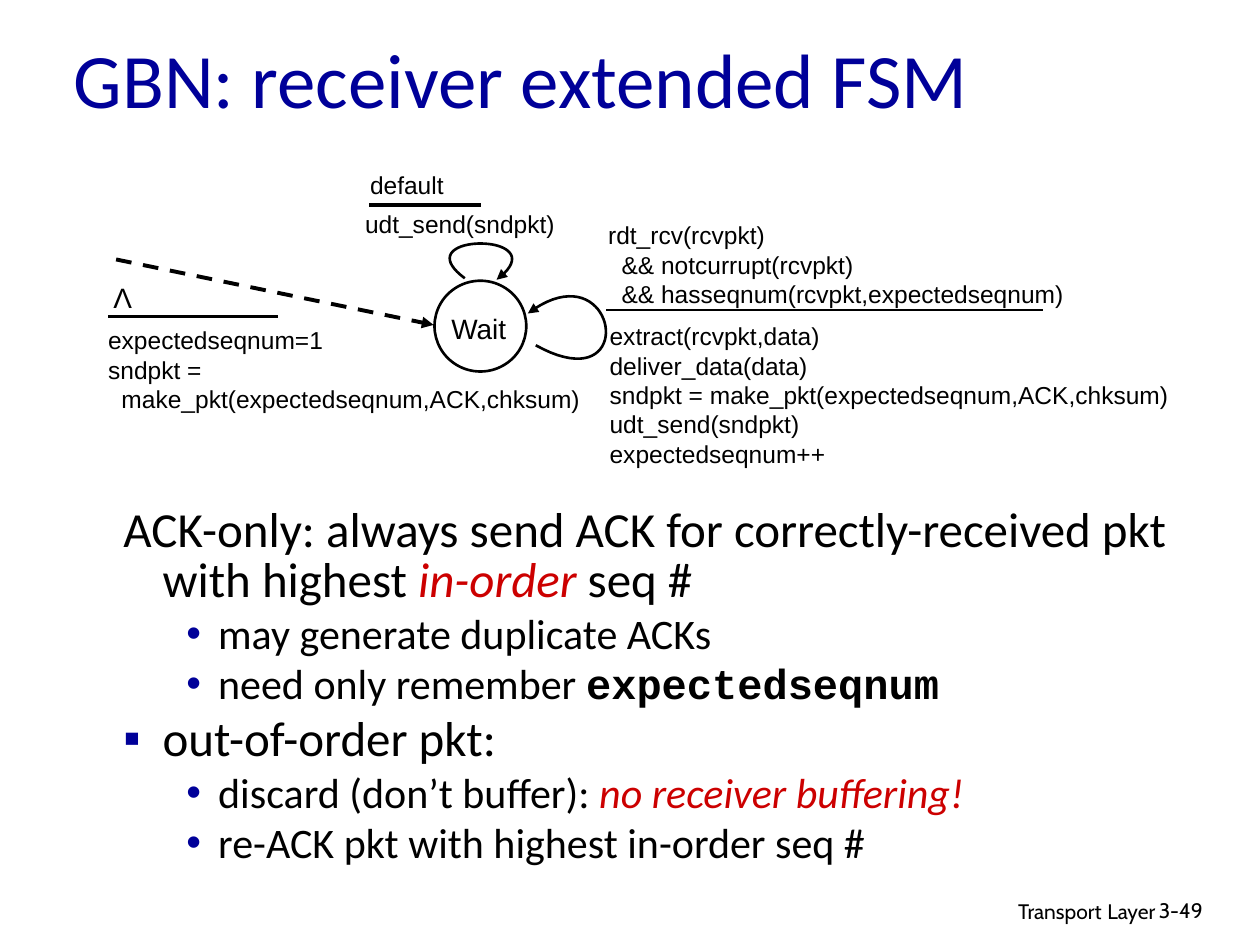
from lxml import etree
from pptx import Presentation
from pptx.dml.color import RGBColor
from pptx.enum import dml, shapes, text
from pptx.oxml import ns
from pptx.util import Cm, Pt

BLACK, NAVY, RED = "000000", "000099", "CC0000"
LEFT, CENTER, RIGHT = text.PP_ALIGN.LEFT, text.PP_ALIGN.CENTER, text.PP_ALIGN.RIGHT

TITLE = ("GBN: receiver extended FSM", (1.24, 0.58, 21.59, 1.96))

FOOTER = [("Transport", 12), (" ", 14), ("Layer", 12)]
FOOTER_BOX = (15.49, 17.91, 8.05, 0.79)
PAGE = ("3-49", (23.11, 17.96, 1.88, 0.76))

STATE = (8.76, 5.66, 1.85, 1.83)
STATE_LABEL = ("Wait", (8.53, 6.15, 2.24, 0.66), CENTER)
START_LABEL = ("Λ", (2.03, 5.54, 0.89, 0.94), CENTER)

ACTIONS = [
    ((7.11, 4.09, 4.5, 0.86), [("udt_send(sndpkt)", 0)]),
    ((7.21, 3.3, 2.01, 0.69), [("default", 0)]),
    ((12.01, 4.32, 9.91, 1.57), [
        ("rdt_rcv(rcvpkt)", 0),
        ("&& notcurrupt(rcvpkt)", 1),
        ("&& hasseqnum(rcvpkt,expectedseqnum)", 1),
    ]),
    ((12.04, 6.35, 11.99, 2.39), [
        ("extract(rcvpkt,data)", 0),
        ("deliver_data(data)", 0),
        ("sndpkt = make_pkt(expectedseqnum,ACK,chksum)", 0),
        ("udt_send(sndpkt)", 0),
        ("expectedseqnum++", 0),
    ]),
    ((1.93, 6.43, 10.11, 2.72), [
        ("expectedseqnum=1", 0),
        ("sndpkt =", 0),
        ("make_pkt(expectedseqnum,ACK,chksum)", 1),
    ]),
]
ACTION_INDENT = 0.27

RULES = [
    (7.44, 9.7, 4.14, 2.25),
    (12.22, 21.03, 6.25, 1.5),
    (2.18, 5.61, 6.38, 2.25),
]
START_ARROW = ((2.34, 5.23), (8.74, 6.55))
LOOPS = [
    ((10.8, 6.96), (12.95, 8.15), (12.45, 4.95), (10.64, 6.32)),
    ((9.37, 5.61), (8.1, 4.67), (11.3, 4.67), (10.01, 5.64)),
]
LOOP_STEPS = 40

NOTES_BOX = (2.24, 10.11, 22.63, 7.92)
NOTES = [
    (0, None, [("ACK-only: always send ACK for correctly-received pkt with highest ", "plain"),
               ("in-order", "stress"), (" seq #", "plain")]),
    (1, "•", [("may generate duplicate ACKs", "plain")]),
    (1, "•", [("need only remember ", "plain"), ("expectedseqnum", "code")]),
    (0, "▪", [("out-of-order pkt:", "plain")]),
    (1, "•", [("discard (don’t buffer): ", "plain"), ("no receiver buffering!", "stress")]),
    (1, "•", [("re-ACK pkt with highest in-order seq #", "plain")]),
]
NOTE_LEVELS = [(28, 0.79, -0.79, 5), (24, 1.91, -0.64, 4.2)]
NOTE_STYLES = {
    "plain": ("Calibri", BLACK, False, False),
    "stress": ("Calibri", RED, False, True),
    "code": ("Courier New", BLACK, True, False),
}


def color(value):
    return RGBColor.from_string(value)


def style(font, name, size, value=BLACK, bold=False, italic=False):
    font.name, font.size, font.bold, font.italic = name, Pt(size), bold, italic
    font.color.rgb = color(value)


def add_frame(slide, box, wrap=True):
    frame = slide.shapes.add_textbox(*map(Cm, box)).text_frame
    frame.word_wrap = wrap
    return frame


def add_label(slide, label, box, name, size, value=BLACK, align=LEFT, wrap=True):
    frame = add_frame(slide, box, wrap)
    frame.text = label
    paragraph = frame.paragraphs[0]
    paragraph.alignment = align
    style(paragraph.runs[0].font, name, size, value)
    return frame


def next_paragraph(frame, index):
    return frame.add_paragraph() if index else frame.paragraphs[0]


def indent(paragraph, margin, first=0):
    properties = paragraph._p.get_or_add_pPr()
    properties.set("marL", str(Cm(margin)))
    properties.set("indent", str(Cm(first)))
    return properties


def add_bullet(properties, mark):
    bullet_color = etree.SubElement(properties, ns.qn("a:buClr"))
    etree.SubElement(bullet_color, ns.qn("a:srgbClr"), val=NAVY)
    etree.SubElement(properties, ns.qn("a:buFont"), typeface="Arial")
    etree.SubElement(properties, ns.qn("a:buChar"), char=mark)


def set_line(line, width, arrow=False):
    line.color.rgb = color(BLACK)
    line.width = Pt(width)
    if arrow:
        etree.SubElement(line._get_or_add_ln(), ns.qn("a:tailEnd"), type="triangle")


def add_line(slide, start, end, width, dashed=False):
    connector = slide.shapes.add_connector(
        shapes.MSO_CONNECTOR.STRAIGHT, *map(Cm, start + end))
    if dashed:
        connector.line.dash_style = dml.MSO_LINE.DASH
    set_line(connector.line, width, arrow=dashed)
    etree.SubElement(connector._element.spPr, ns.qn("a:effectLst"))


def curve_point(controls, t):
    weights = ((1 - t) ** 3, 3 * t * (1 - t) ** 2, 3 * t ** 2 * (1 - t), t ** 3)
    return tuple(Cm(sum(w * c for w, c in zip(weights, axis))) for axis in zip(*controls))


def add_loop(slide, controls):
    points = [curve_point(controls, step / LOOP_STEPS) for step in range(LOOP_STEPS + 1)]
    builder = slide.shapes.build_freeform(*points[0])
    builder.add_line_segments(points[1:], close=False)
    loop = builder.convert_to_shape()
    loop.shadow.inherit = False
    loop.fill.background()
    set_line(loop.line, 1.5, arrow=True)


def add_state(slide):
    state = slide.shapes.add_shape(shapes.MSO_SHAPE.OVAL, *map(Cm, STATE))
    state.shadow.inherit = False
    state.fill.solid()
    state.fill.fore_color.rgb = color("FFFFFF")
    set_line(state.line, 1.5)


def add_actions(slide, box, lines):
    frame = add_frame(slide, box)
    for index, (line, level) in enumerate(lines):
        paragraph = next_paragraph(frame, index)
        paragraph.text = line
        indent(paragraph, level * ACTION_INDENT)
        style(paragraph.runs[0].font, "Arial", 14)


def add_notes(slide):
    frame = add_frame(slide, NOTES_BOX)
    for index, (level, mark, parts) in enumerate(NOTES):
        size, margin, first, gap = NOTE_LEVELS[level]
        paragraph = next_paragraph(frame, index)
        paragraph.level = level
        properties = indent(paragraph, margin, first)
        if mark:
            add_bullet(properties, mark)
        paragraph.line_spacing = 0.85
        paragraph.space_before = Pt(gap if index else 0)
        for words, kind in parts:
            run = paragraph.add_run()
            run.text = words
            name, *look = NOTE_STYLES[kind]
            style(run.font, name, size, *look)


def add_footer(slide):
    paragraph = add_frame(slide, FOOTER_BOX).paragraphs[0]
    paragraph.alignment = RIGHT
    for words, size in FOOTER:
        run = paragraph.add_run()
        run.text = words
        style(run.font, "Cabin", size)
    add_label(slide, *PAGE, "Cabin", 12)


def main():
    deck = Presentation()
    deck.slide_width, deck.slide_height = Cm(25.4), Cm(19.05)
    slide = deck.slides.add_slide(deck.slide_layouts[6])
    add_footer(slide)
    add_notes(slide)
    add_state(slide)
    for (label, box, align), wrap in ((STATE_LABEL, True), (START_LABEL, False)):
        add_label(slide, label, box, "Arial", 16, align=align, wrap=wrap)
    add_line(slide, *START_ARROW, 2.25, dashed=True)
    for left, right, y, width in RULES:
        add_line(slide, (left, y), (right, y), width)
    for controls in LOOPS:
        add_loop(slide, controls)
    for box, lines in ACTIONS:
        add_actions(slide, box, lines)
    title = add_label(slide, *TITLE, "Calibri", 44, NAVY)
    title.vertical_anchor = text.MSO_ANCHOR.MIDDLE
    deck.save("out.pptx")


if __name__ == "__main__":
    main()
